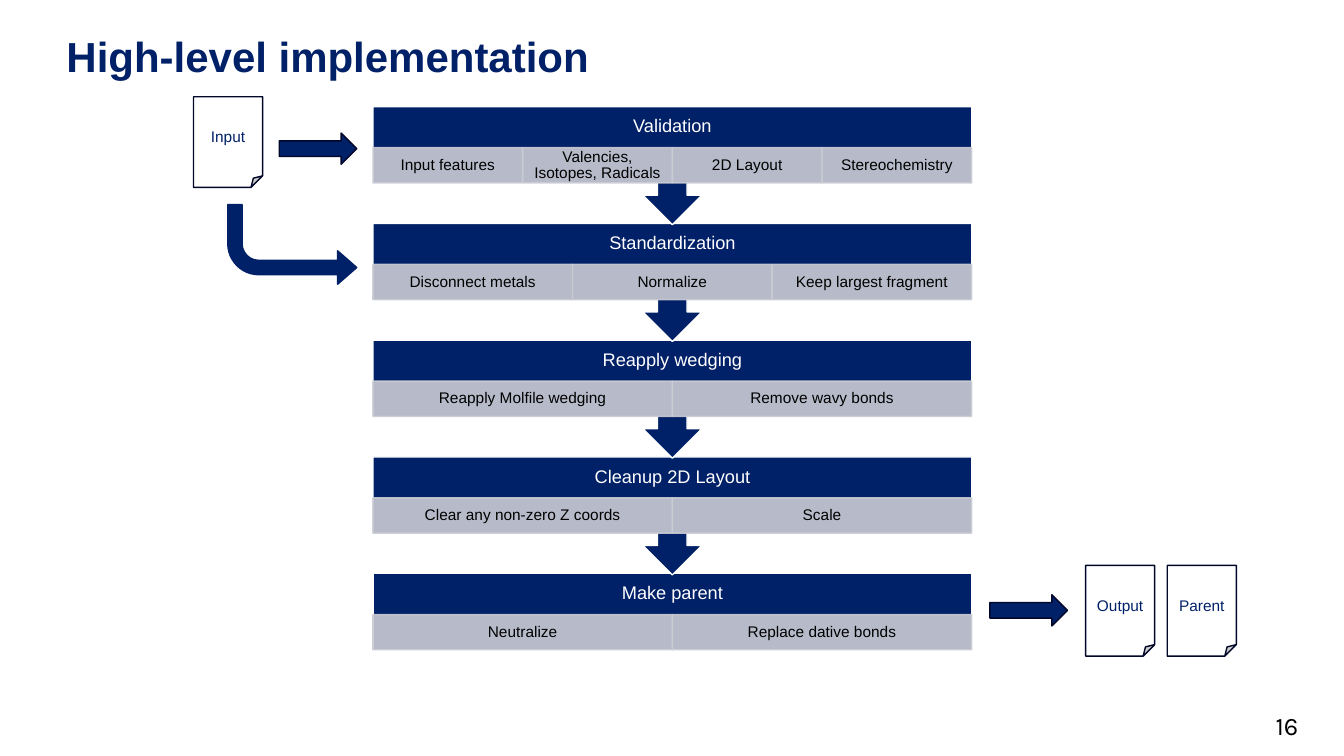
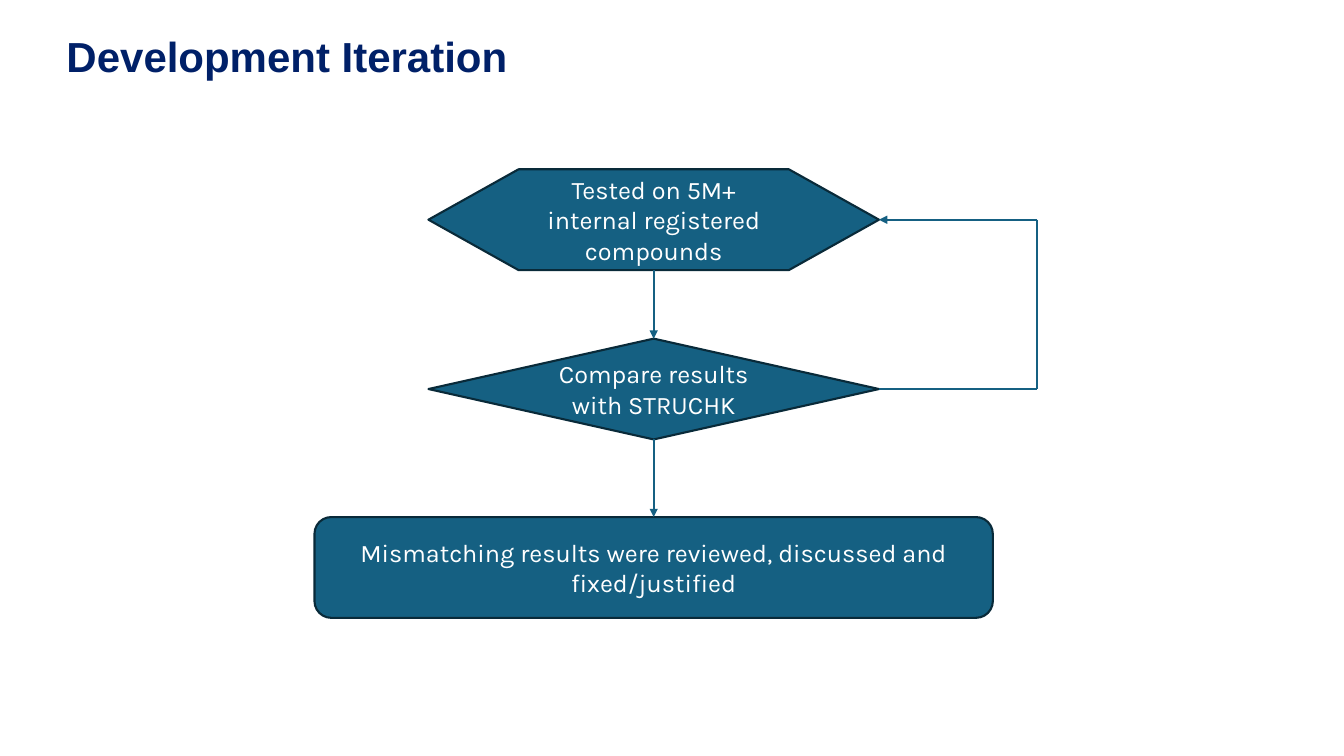
from lxml import etree
from pptx import Presentation
from pptx import util as u
from pptx.dml.color import RGBColor
from pptx.enum import shapes, text
from pptx.oxml.ns import qn

HUES = {
    "navy": "002068",
    "ink": "000728",
    "white": "FFFFFF",
    "black": "000000",
    "gray": "CBCCD4",
    "teal": "156082",
    "deep": "092A39",
}
COLS, ROWS = 133.33, 75
KIND = shapes.MSO_SHAPE
TOP, LEFT, BOTTOM, RIGHT = range(4)


class Deck:
    head, body = "Arial", "Karla"

    def __init__(self):
        self.prs = Presentation()
        self.prs.slide_width = u.Inches(13.33)
        self.prs.slide_height = u.Inches(7.5)
        self.page = None

    def col(self, n):
        return round(self.prs.slide_width * n / COLS)

    def row(self, n):
        return round(self.prs.slide_height * n / ROWS)

    def area(self, x, y, w, h):
        return self.col(x), self.row(y), self.col(w), self.row(h)

    def hue(self, name):
        return RGBColor.from_string(HUES[name])

    def slide(self, title):
        self.page = self.prs.slides.add_slide(self.prs.slide_layouts[6])
        self.label((6.6, 3.4, 80.5, 11.7), title, 30, "navy", bold=True, lead=0.95)

    def letter(self, item, words, size, hue, font=None, bold=False,
               align=text.PP_ALIGN.CENTER, anchor=text.MSO_ANCHOR.MIDDLE,
               lead=None, pad=None):
        frame = item.text_frame
        frame.text = words
        frame.word_wrap = True
        frame.vertical_anchor = anchor
        if pad is not None:
            x, top, low = pad
            frame.margin_left = frame.margin_right = self.col(x)
            frame.margin_top, frame.margin_bottom = self.row(top), self.row(low)
        para = frame.paragraphs[0]
        para.alignment = align
        if lead:
            para.line_spacing = lead
        face = para.runs[0].font
        face.name, face.size, face.bold = font or self.head, u.Pt(size), bold
        face.color.rgb = self.hue(hue)

    def label(self, area, words, size, hue, align=text.PP_ALIGN.LEFT, **style):
        box = self.page.shapes.add_textbox(*self.area(*area))
        self.letter(box, words, size, hue, align=align,
                    anchor=text.MSO_ANCHOR.TOP, pad=(0, 0, 0), **style)

    def shape(self, kind, area, fill, line, width=1, tune=()):
        item = self.page.shapes.add_shape(kind, *self.area(*area))
        item.shadow.inherit = False
        item.fill.solid()
        item.fill.fore_color.rgb = self.hue(fill)
        item.line.color.rgb = self.hue(line)
        item.line.width = u.Pt(width)
        for spot, value in enumerate(tune):
            item.adjustments[spot] = value
        return item

    def fade(self, item, share):
        for tint in item._element.spPr.iter(qn("a:srgbClr")):
            etree.SubElement(tint, qn("a:alpha")).set("val", str(share * 1000))

    def stage(self, y, name, steps, last):
        x, w, h = 37, 59.4, 7.6
        if last:
            box = self.shape(KIND.RECTANGLE, (x, y, w, h), "navy", "white")
        else:
            box = self.shape(KIND.DOWN_ARROW_CALLOUT, (x, y, w, 11.7),
                             "navy", "white", tune=(0.25, 0.25, 0.25, 0.65))
        self.letter(box, name, 13, "white", lead=0.9, pad=(1, 0, 3.6))
        part = w / len(steps)
        for i, step in enumerate(steps):
            cell = self.shape(KIND.RECTANGLE, (x + i * part, y + 4.05, part, 3.5),
                              "gray", "gray")
            self.fade(cell, 90)
            self.letter(cell, step, 11, "black", lead=0.9, pad=(0.9, 0.2, 0.2))

    def sheet(self, x, y, name):
        item = self.shape(KIND.FOLDED_CORNER, (x, y, 6.85, 9), "white", "ink")
        self.letter(item, name, 11, "navy", pad=(0, 0.5, 0.5))

    def arrow(self, x, y):
        self.shape(KIND.RIGHT_ARROW, (x, y, 7.7, 3.1), "navy", "ink")

    def bend(self, area):
        item = self.shape(KIND.BENT_ARROW, area, "navy", "navy",
                          tune=(0.18, 0.21, 0.24, 0.39))
        item._element.spPr.find(qn("a:xfrm")).set("flipV", "1")

    def node(self, kind, area, words):
        item = self.shape(kind, area, "teal", "deep", 1.5)
        self.letter(item, words, 18, "white", font=self.body)
        return item

    def link(self, start, end, begin=None, finish=None, tip=False):
        line = self.page.shapes.add_connector(
            shapes.MSO_CONNECTOR.STRAIGHT,
            self.col(start[0]), self.row(start[1]),
            self.col(end[0]), self.row(end[1]))
        if begin:
            line.begin_connect(*begin)
        if finish:
            line.end_connect(*finish)
        line.line.color.rgb = self.hue("teal")
        line.line.width = u.Pt(1.5)
        props = line._element.spPr
        if tip:
            etree.SubElement(props.find(qn("a:ln")), qn("a:tailEnd")).set("type", "triangle")
        etree.SubElement(props, qn("a:effectLst"))


STAGES = [
    ("Validation", ["Input features", "Valencies, Isotopes, Radicals",
                    "2D Layout", "Stereochemistry"]),
    ("Standardization", ["Disconnect metals", "Normalize", "Keep largest fragment"]),
    ("Reapply wedging", ["Reapply Molfile wedging", "Remove wavy bonds"]),
    ("Cleanup 2D Layout", ["Clear any non-zero Z coords", "Scale"]),
    ("Make parent", ["Neutralize", "Replace dative bonds"]),
]


def flow(deck):
    deck.slide("High-level implementation")
    final = len(STAGES) - 1
    for i in range(final, -1, -1):
        deck.stage(10.6 + i * 11.58, *STAGES[i], last=i == final)
    deck.label((123.7, 70.5, 5.1, 2), "16", 18, "black",
               align=text.PP_ALIGN.RIGHT, font=deck.body)
    for x, y, name in ((19.2, 9.6, "Input"), (107.7, 56.1, "Output"),
                       (115.8, 56.1, "Parent")):
        deck.sheet(x, y, name)
    deck.bend((22.6, 20.3, 12.8, 7.9))
    deck.arrow(27.7, 13.2)
    deck.arrow(98.2, 59)


def loop(deck):
    deck.slide("Development Iteration")
    x, w, h, mid, turn = 42.5, 44.7, 10, 64.85, 102.9
    fix = deck.node(KIND.ROUNDED_RECTANGLE, (31.2, 51.3, 67.3, h),
                    "Mismatching results were reviewed, discussed and fixed/justified")
    check = deck.node(KIND.FLOWCHART_DECISION, (x, 33.6, w, h),
                      "Compare results with STRUCHK")
    test = deck.node(KIND.FLOWCHART_PREPARATION, (x, 16.8, w, h),
                     "Tested on 5M+ internal registered compounds")
    deck.link((mid, 26.8), (mid, 33.6), (test, BOTTOM), (check, TOP), tip=True)
    deck.link((x + w, 38.6), (turn, 38.6), begin=(check, RIGHT))
    deck.link((turn, 21.8), (turn, 38.6))
    deck.link((turn, 21.8), (x + w, 21.8), finish=(test, RIGHT), tip=True)
    deck.link((mid, 43.6), (mid, 51.3), (check, BOTTOM), (fix, TOP), tip=True)


def main():
    deck = Deck()
    flow(deck)
    loop(deck)
    deck.prs.save("out.pptx")


if __name__ == "__main__":
    main()
